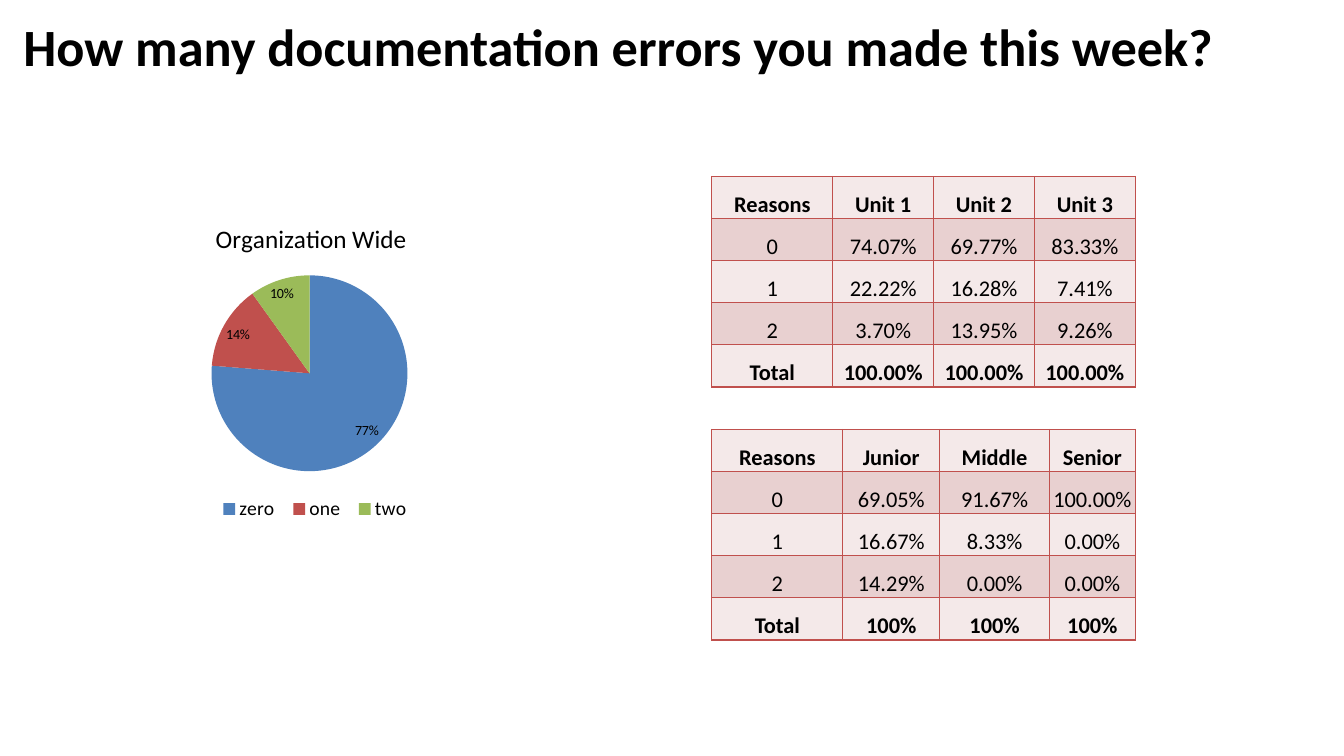
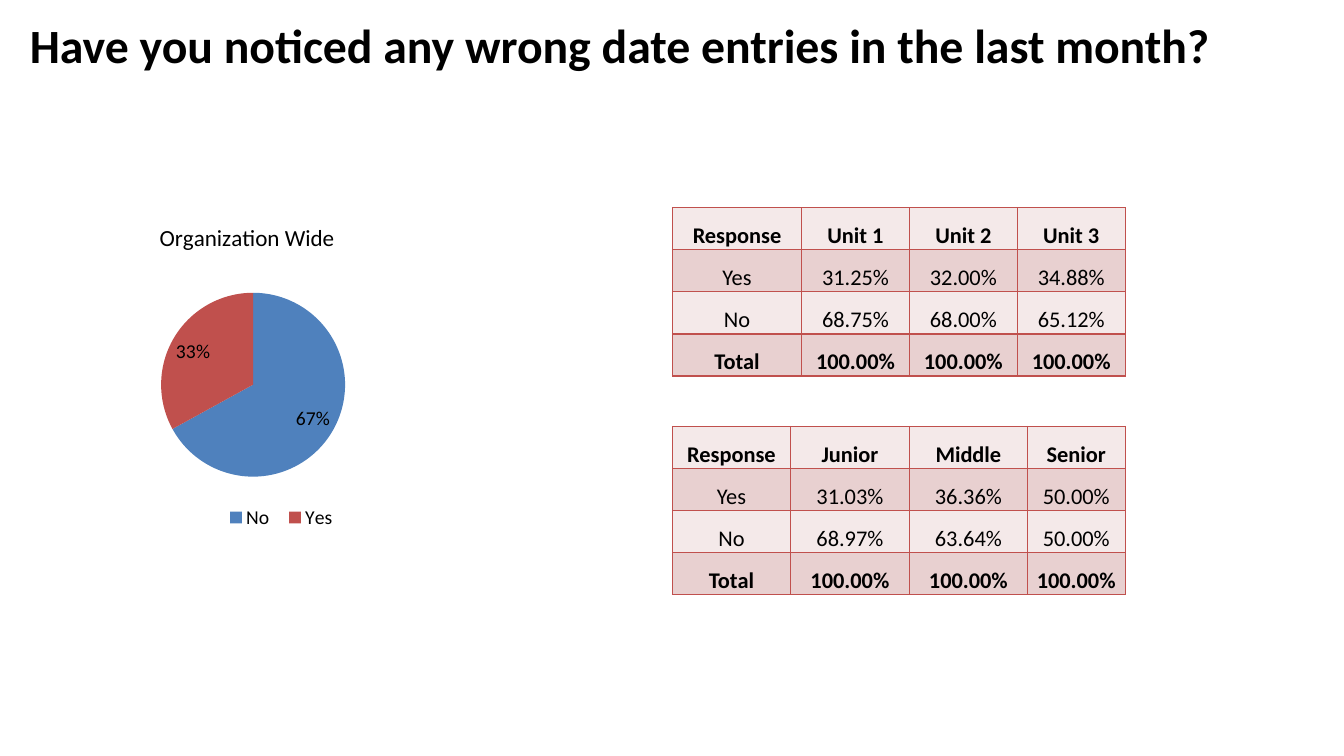
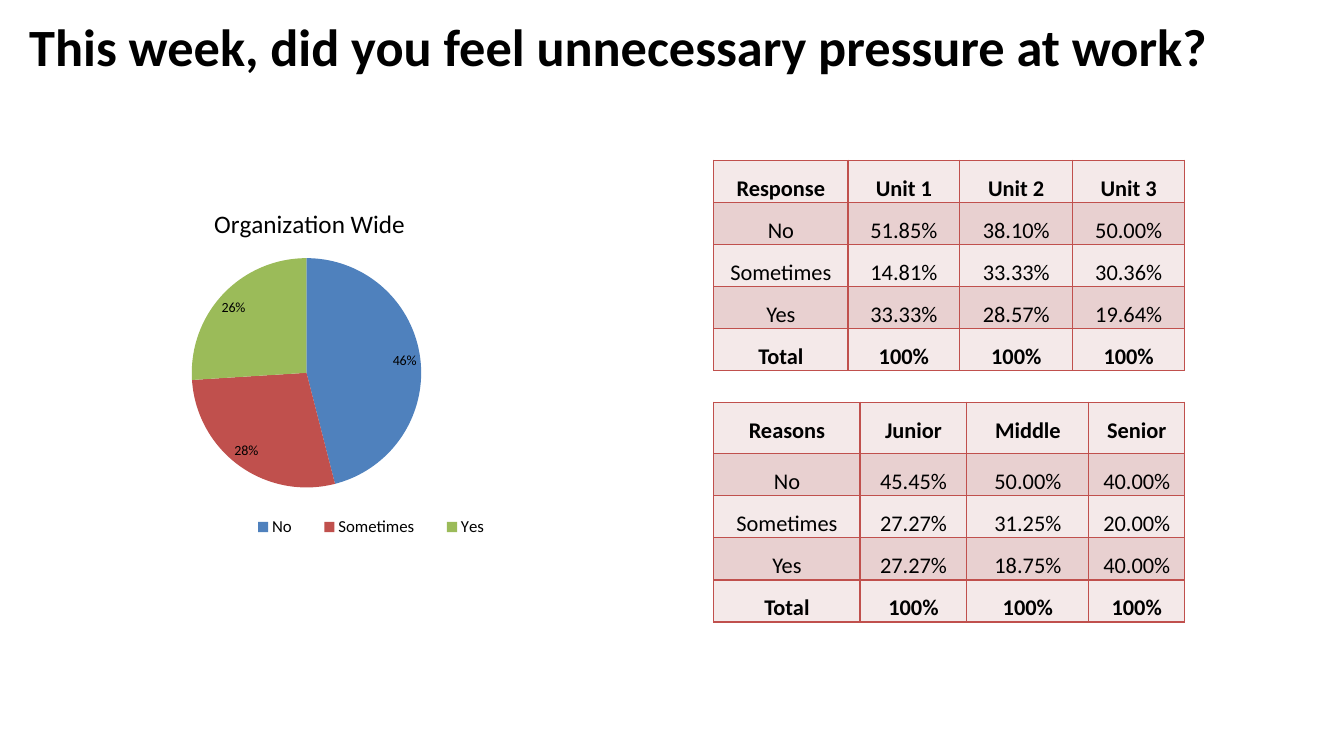
from pptx import Presentation
from pptx.chart.data import CategoryChartData
from pptx.dml.color import RGBColor
from pptx.enum.chart import XL_CHART_TYPE, XL_LABEL_POSITION as LabelPosition, XL_LEGEND_POSITION as LegendPosition
from pptx.enum.text import MSO_ANCHOR, MSO_AUTO_SIZE, PP_ALIGN
from pptx.oxml import parse_xml
from pptx.oxml.ns import nsdecls, qn
from pptx.util import Inches, Pt

BLACK = RGBColor(0x00, 0x00, 0x00)
BLUE = RGBColor(0x4F, 0x81, 0xBD)
RED = RGBColor(0xC0, 0x50, 0x4D)
GREEN = RGBColor(0x9B, 0xBB, 0x59)
PALE_ROW = RGBColor(0xF4, 0xE9, 0xE9)
ROSE_ROW = RGBColor(0xE8, 0xD0, 0xD0)
SLICE_COLOURS = (BLUE, RED, GREEN)
FONT = "Calibri"
TITLE_ONLY = 5
ROW_HEIGHT = 0.41
UNITS = ["Unit 1", "Unit 2", "Unit 3"]
LEVELS = ["Junior", "Middle", "Senior"]
FULL = ["Total"] + ["100.00%"] * 3
WHOLE = ["Total"] + ["100%"] * 3


def style_font(font, size, bold=False):
    font.name = FONT
    font.size = Pt(size)
    font.bold = bold
    font.color.rgb = BLACK


def add_text(para, text, size, bold=False):
    span = para.add_run()
    span.text = text
    style_font(span.font, size, bold)


def add_question_slide(deck, question, size, spacing=0.8):
    page = deck.slides.add_slide(deck.slide_layouts[TITLE_ONLY])
    title = page.shapes.title
    title.left, title.top = Inches(0), Inches(0.07)
    title.width, title.height = Inches(12.4), Inches(0.88)
    frame = title.text_frame
    frame.word_wrap = True
    frame.auto_size = MSO_AUTO_SIZE.NONE
    frame.vertical_anchor = MSO_ANCHOR.MIDDLE
    para = frame.paragraphs[0]
    para.alignment = PP_ALIGN.CENTER
    para.line_spacing = spacing
    para.space_before, para.space_after = Pt(0), Pt(6)
    add_text(para, question, size, bold=True)
    return page


def place_part(part, x, y, width=None, height=None, inner=False):
    """Fix a chart part's place, in fractions of the chart's size."""
    settings = [("layoutTarget", "inner")] if inner else []
    settings += [("xMode", "edge"), ("yMode", "edge"), ("x", x), ("y", y)]
    if width is not None:
        settings += [("w", width), ("h", height)]
    items = "".join(f'<c:{tag} val="{value}"/>' for tag, value in settings)
    old = part.find(qn("c:layout"))
    if old is not None:
        part.remove(old)
    follows_first = part[0].tag in (qn("c:tx"), qn("c:legendPos"))
    part.insert(1 if follows_first else 0, parse_xml(
        f'<c:layout {nsdecls("c")}><c:manualLayout>{items}</c:manualLayout></c:layout>'))


def add_pie(page, box, shares, plot_area, legend_area, title_size=18, label_size=10, legend_size=14):
    """Add a pie of whole percentages, labelled with their values."""
    data = CategoryChartData()
    data.categories = list(shares)
    data.add_series("Series 1", list(shares.values()))
    chart = page.shapes.add_chart(XL_CHART_TYPE.PIE, *map(Inches, box), data).chart
    style_font(chart.font, label_size)

    chart.has_title = True
    add_text(chart.chart_title.text_frame.paragraphs[0], "Organization Wide", title_size)
    chart.chart_title.include_text_in_layout = False
    chart.has_legend = True
    chart.legend.position = LegendPosition.BOTTOM
    chart.legend.include_in_layout = False
    style_font(chart.legend.font, legend_size)

    plot = chart.plots[0]
    plot.vary_by_categories = True
    for index, colour in zip(range(len(shares)), SLICE_COLOURS):
        fill = plot.series[0].points[index].format.fill
        fill.solid()
        fill.fore_color.rgb = colour
    plot.has_data_labels = True
    labels = plot.data_labels
    labels.show_percentage = False
    labels.show_value = True
    labels.number_format = '0"%"'
    labels.number_format_is_linked = False
    labels.position = LabelPosition.BEST_FIT
    style_font(labels.font, label_size)

    space = chart.element.find(qn("c:chart"))
    place_part(space.find(qn("c:title")), 0.32, 0.03)
    place_part(space.find(qn("c:plotArea")), *plot_area, inner=True)
    place_part(space.find(qn("c:legend")), *legend_area)


def add_borders(cell):
    properties = cell._tc.get_or_add_tcPr()
    for index, side in enumerate("LRTB"):
        properties.insert(index, parse_xml(
            f'<a:ln{side} {nsdecls("a")} w="{Pt(1)}"><a:solidFill>'
            f'<a:srgbClr val="{RED}"/></a:solidFill></a:ln{side}>'))


def add_answer_table(page, left, top, widths, rows, header_height=ROW_HEIGHT):
    heights = [header_height] + [ROW_HEIGHT] * (len(rows) - 1)
    table = page.shapes.add_table(
        len(rows), len(widths), Inches(left), Inches(top),
        Inches(sum(widths)), Inches(sum(heights))).table
    table.first_row = table.horz_banding = False
    for column, width in zip(table.columns, widths):
        column.width = Inches(width)
    for r, (texts, height) in enumerate(zip(rows, heights)):
        table.rows[r].height = Inches(height)
        for c, text in enumerate(texts):
            cell = table.cell(r, c)
            cell.margin_left = cell.margin_right = cell.margin_top = Inches(0.01)
            cell.margin_bottom = Inches(0)
            cell.fill.solid()
            cell.fill.fore_color.rgb = ROSE_ROW if r % 2 else PALE_ROW
            add_borders(cell)
            para = cell.text_frame.paragraphs[0]
            para.alignment = PP_ALIGN.CENTER
            para.line_spacing = 1.5
            add_text(para, text, 16, bold=r in (0, len(rows) - 1))


def add_errors_slide(deck):
    page = add_question_slide(deck, "How many documentation errors you made this week? ", 37.4)
    add_pie(page, (0.36, 2.05, 5.42, 3.41), {"zero": 77, "one": 14, "two": 10},
            (0.09, 0.2, 0.82, 0.57), (0.32, 0.84, 0.38, 0.08))
    add_answer_table(page, 7.06, 1.75, [1.2, 1, 1, 1], [
        ["Reasons"] + UNITS,
        ["0", "74.07%", "69.77%", "83.33%"],
        ["1", "22.22%", "16.28%", "7.41%"],
        ["2", "3.70%", "13.95%", "9.26%"],
        FULL])
    add_answer_table(page, 7.06, 4.26, [1.3, 0.96, 1.09, 0.85], [
        ["Reasons"] + LEVELS,
        ["0", "69.05%", "91.67%", "100.00%"],
        ["1", "16.67%", "8.33%", "0.00%"],
        ["2", "14.29%", "0.00%", "0.00%"],
        WHOLE])


def add_dates_slide(deck):
    page = add_question_slide(
        deck, "Have you noticed any wrong date entries in the last month? ", 34.1, spacing=0.7)
    add_pie(page, (-0.09, 2.06, 5.1, 3.38), {"No": 67, "Yes": 33},
            (0.1, 0.25, 0.82, 0.54), (0.44, 0.87, 0.25, 0.08), title_size=16.5, label_size=14)
    add_answer_table(page, 6.67, 2.06, [1.28, 1.07, 1.07, 1.07], [
        ["Response"] + UNITS,
        ["Yes", "31.25%", "32.00%", "34.88%"],
        ["No", "68.75%", "68.00%", "65.12%"],
        FULL])
    add_answer_table(page, 6.67, 4.23, [1.17, 1.18, 1.17, 0.97], [
        ["Response"] + LEVELS,
        ["Yes", "31.03%", "36.36%", "50.00%"],
        ["No", "68.97%", "63.64%", "50.00%"],
        FULL])


def add_pressure_slide(deck):
    page = add_question_slide(deck, "This week, did you feel unnecessary pressure at work? ", 37.4)
    add_pie(page, (0.37, 1.89, 5.34, 3.73), {"No": 46, "Sometimes": 28, "Yes": 26},
            (0.09, 0.18, 0.82, 0.61), (0.36, 0.86, 0.52, 0.07), legend_size=12)
    add_answer_table(page, 7.08, 1.59, [1.33, 1.11, 1.12, 1.11], [
        ["Response"] + UNITS,
        ["No", "51.85%", "38.10%", "50.00%"],
        ["Sometimes", "14.81%", "33.33%", "30.36%"],
        ["Yes", "33.33%", "28.57%", "19.64%"],
        WHOLE])
    add_answer_table(page, 7.08, 3.99, [1.45, 1.06, 1.21, 0.95], [
        ["Reasons"] + LEVELS,
        ["No", "45.45%", "50.00%", "40.00%"],
        ["Sometimes", "27.27%", "31.25%", "20.00%"],
        ["Yes", "27.27%", "18.75%", "40.00%"],
        WHOLE], header_height=0.51)


def main():
    deck = Presentation()
    deck.slide_width, deck.slide_height = Inches(13.33), Inches(7.5)
    add_errors_slide(deck)
    add_dates_slide(deck)
    add_pressure_slide(deck)
    deck.save("out.pptx")


if __name__ == "__main__":
    main()
